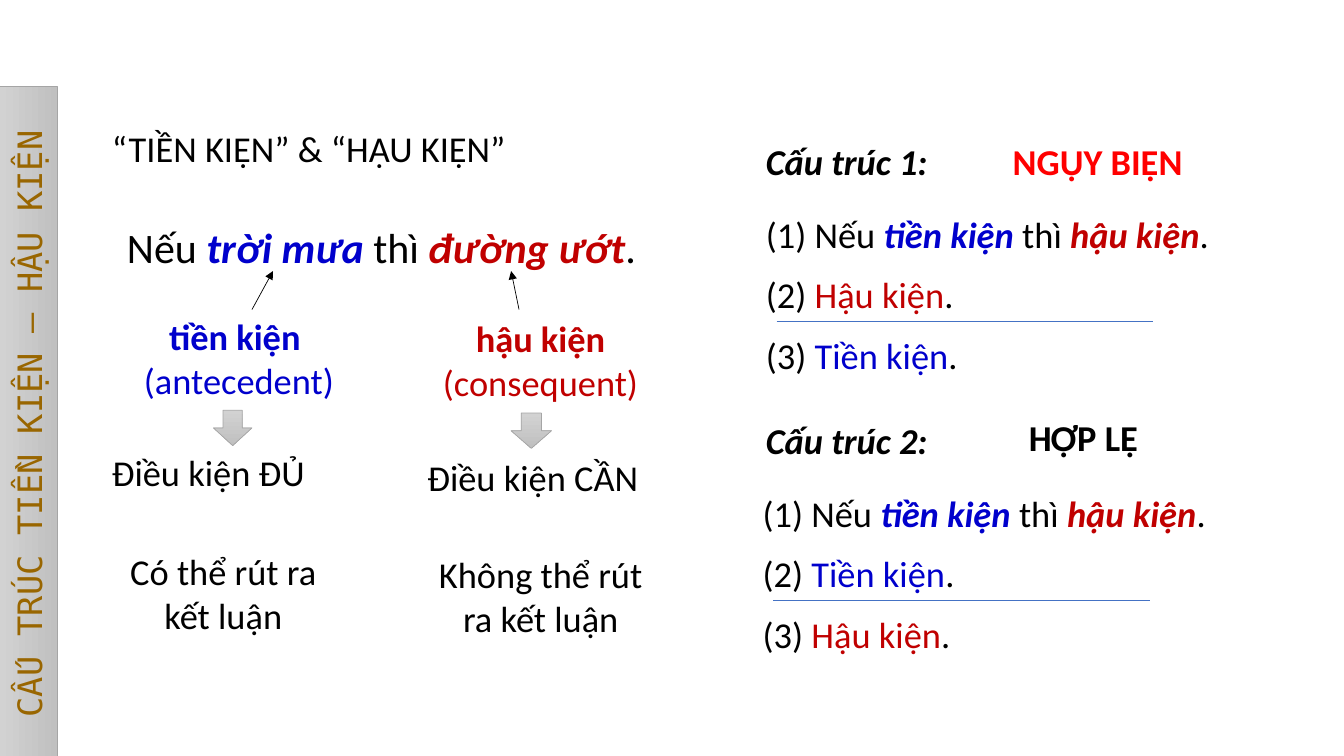
"""Build the slide on antecedents and consequents in conditional arguments."""
from lxml import etree
from pptx import Presentation
from pptx.dml.color import RGBColor
from pptx.enum import shapes, text
from pptx.oxml.ns import qn
from pptx.util import Cm, Pt

BLACK, BLUE, DARK_RED, RED = "000000", "0000CC", "C00000", "FF0000"
LINE_BLUE, GREY_EDGE, BROWN = "4472C4", "A5A5A5", "996600"
GREY_LIGHT, GREY_DARK = "D2D2D2", "C0C0C0"
LEFT, CENTER = text.PP_ALIGN.LEFT, text.PP_ALIGN.CENTER
ANTECEDENT = ("tiền kiện", BLUE)
CONSEQUENT = ("hậu kiện", DARK_RED)


def colour(value):
    return RGBColor.from_string(value)


def add_run(paragraph, content, hex_colour=BLACK, emphasis="", size=26, font="Calibri"):
    run = paragraph.add_run()
    run.text = content
    run.font.name = font
    run.font.size = Pt(size)
    run.font.bold = "b" in emphasis
    run.font.italic = "i" in emphasis
    run.font.color.rgb = colour(hex_colour)


def add_text(slide, left, top, width, height, paragraphs, align=LEFT, size=26, gap=0):
    box = slide.shapes.add_textbox(Cm(left), Cm(top), Cm(width), Cm(height))
    frame = box.text_frame
    frame.word_wrap = True
    for index, runs in enumerate(paragraphs):
        paragraph = frame.paragraphs[0] if index == 0 else frame.add_paragraph()
        paragraph.alignment = align
        paragraph.space_before = Pt(gap if index else 0)
        paragraph.space_after = Pt(gap)
        for run in runs:
            add_run(paragraph, *run, size=size)


def paint_grey(shape):
    shape.fill.gradient()
    shape.fill.gradient_angle = 270
    for stop, value in zip(shape.fill.gradient_stops, (GREY_LIGHT, GREY_DARK)):
        stop.color.rgb = colour(value)
    shape.line.color.rgb = colour(GREY_EDGE)
    shape.line.width = Pt(0.5)


def format_title(slide, content):
    title = slide.shapes.title
    title.left, title.top, title.width, title.height = Cm(-7.8), Cm(9.96), Cm(17.04), Cm(1.45)
    title.rotation = 270
    paint_grey(title)
    frame = title.text_frame
    frame.auto_size = text.MSO_AUTO_SIZE.NONE
    frame.vertical_anchor = text.MSO_ANCHOR.MIDDLE
    frame.paragraphs[0].alignment = CENTER
    add_run(frame.paragraphs[0], content, BROWN, size=24, font="DejaVu Sans Mono")


def add_down_arrow(slide, left, top, width):
    arrow = slide.shapes.add_shape(
        shapes.MSO_SHAPE.DOWN_ARROW, Cm(left), Cm(top), Cm(width), Cm(0.89))
    arrow.shadow.inherit = False
    paint_grey(arrow)


def add_line(slide, start, end, hex_colour, arrowhead=False):
    line = slide.shapes.add_connector(
        shapes.MSO_CONNECTOR.STRAIGHT, *map(Cm, start), *map(Cm, end))
    line.line.color.rgb = colour(hex_colour)
    line.line.width = Pt(0.5)
    if arrowhead:
        etree.SubElement(line.line._get_or_add_ln(), qn("a:tailEnd"), type="triangle")
    etree.SubElement(line._element.spPr, qn("a:effectLst"))


def add_structure(slide, number, top, left, premise, conclusion):
    add_text(slide, 19.05, top, 4.98, 1.37, [[(f"Cấu trúc {number}:", BLACK, "bi")]])
    conditional = [("(1) Nếu ",), (ANTECEDENT[0] + " ", BLUE, "bi"), ("thì ",),
                   (*CONSEQUENT, "bi"), (".",)]
    statements = [[(f"({order}) ",), (term.capitalize(), value), (".",)]
                  for order, (term, value) in enumerate((premise, conclusion), 2)]
    add_text(slide, left, top + 1.83, 12.75, 4.45, [conditional, *statements], gap=6)
    rule_left, rule_top = left + 0.52, top + 4.72
    add_line(slide, (rule_left, rule_top), (rule_left + 9.48, rule_top), LINE_BLUE)


def main():
    presentation = Presentation()
    presentation.slide_width, presentation.slide_height = Cm(33.87), Cm(19.05)
    slide = presentation.slides.add_slide(presentation.slide_layouts[5])
    format_title(slide, "CẤU TRÚC TIỀN KIỆN – HẬU KIỆN")

    add_text(slide, 2.57, 3.05, 13.08, 1.37, [[("“TIỀN KIỆN” & “HẬU KIỆN”",)]])
    add_text(slide, 2.95, 5.46, 13.79, 1.55, [[
        ("Nếu ",), ("trời mưa ", BLUE, "bi"), ("thì ",),
        ("đường ướt", DARK_RED, "bi"), (".",)]], size=30)

    add_text(slide, 2.95, 7.8, 6.15, 2.49,
             [[("tiền kiện ", BLUE, "b")], [("(antecedent)", BLUE)]], CENTER)
    add_text(slide, 10.16, 7.85, 6.93, 2.49,
             [[(*CONSEQUENT, "b")], [("(consequent)", DARK_RED)]], CENTER)
    add_line(slide, (6.35, 7.8), (6.88, 6.83), BLACK, arrowhead=True)
    add_line(slide, (13.08, 7.8), (12.88, 6.83), BLACK, arrowhead=True)
    add_down_arrow(slide, 5.38, 10.34, 0.97)
    add_down_arrow(slide, 12.88, 10.41, 1.02)
    add_text(slide, 2.57, 11.23, 6.17, 1.37, [[("Điều kiện ĐỦ",)]])
    add_text(slide, 10.52, 11.35, 6.88, 1.37, [[("Điều kiện CẦN",)]])
    add_text(slide, 2.95, 13.72, 5.36, 2.49, [[("Có thể rút ra kết luận",)]], CENTER)
    add_text(slide, 10.52, 13.79, 6.22, 2.49, [[("Không thể rút ra kết luận",)]], CENTER)

    add_structure(slide, 1, 3.38, 19.05, CONSEQUENT, ANTECEDENT)
    add_structure(slide, 2, 10.41, 18.97, ANTECEDENT, CONSEQUENT)
    add_text(slide, 25.27, 3.38, 5.92, 1.37, [[("NGỤY BIỆN", RED, "b")]])
    add_text(slide, 25.68, 10.34, 3.96, 1.37, [[("HỢP LỆ", BLACK, "b")]])
    presentation.save("out.pptx")


if __name__ == "__main__":
    main()
